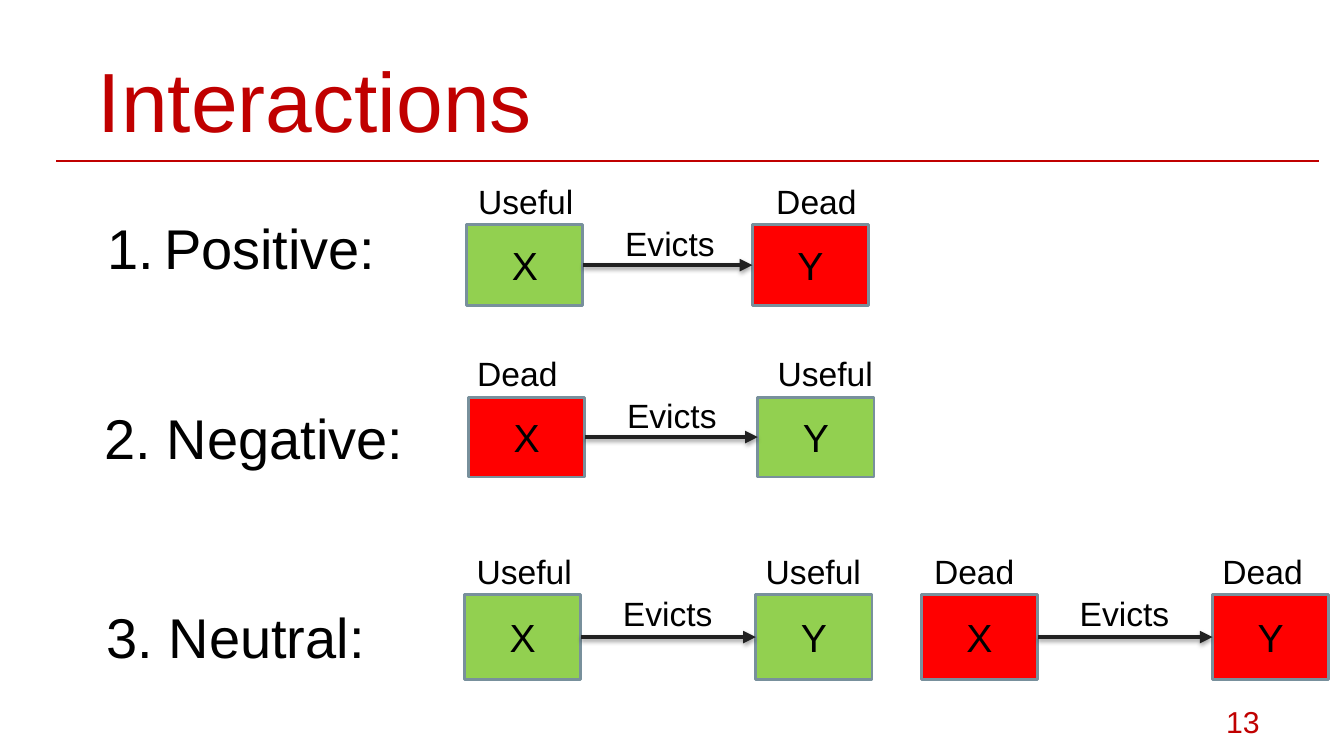
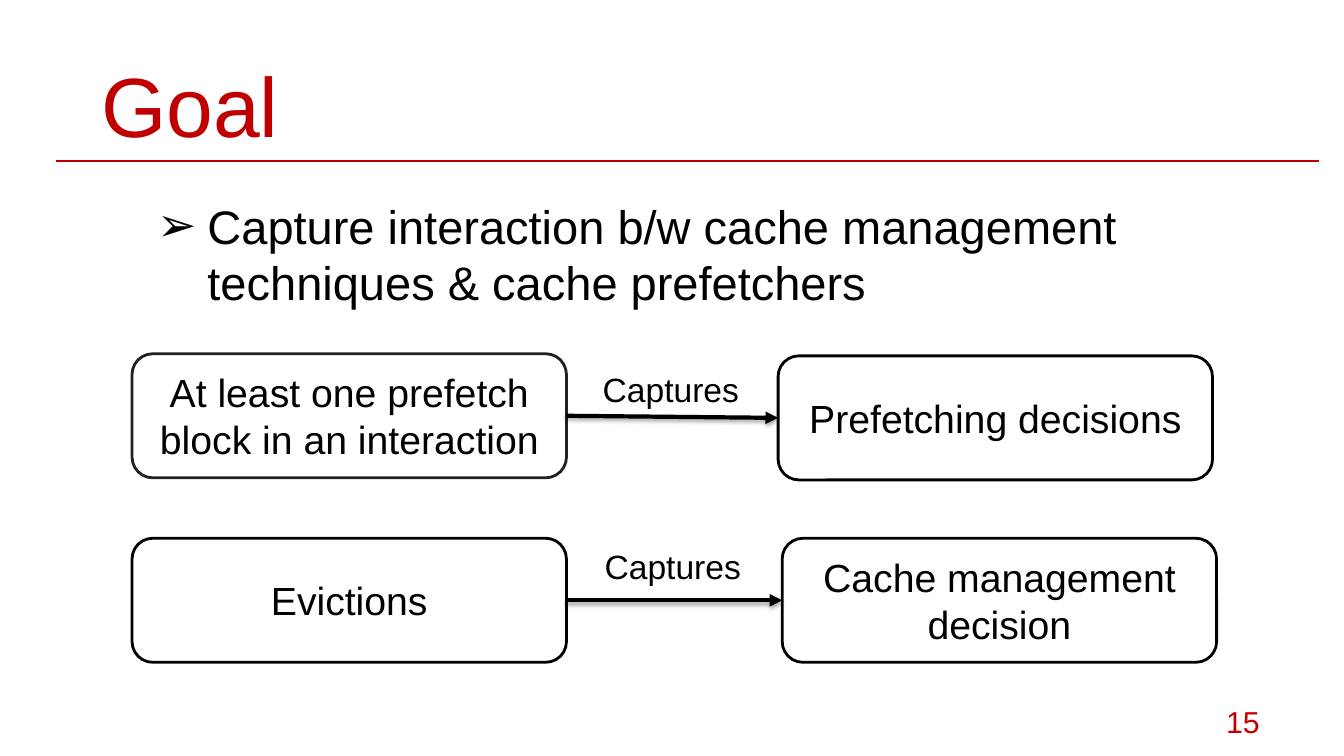
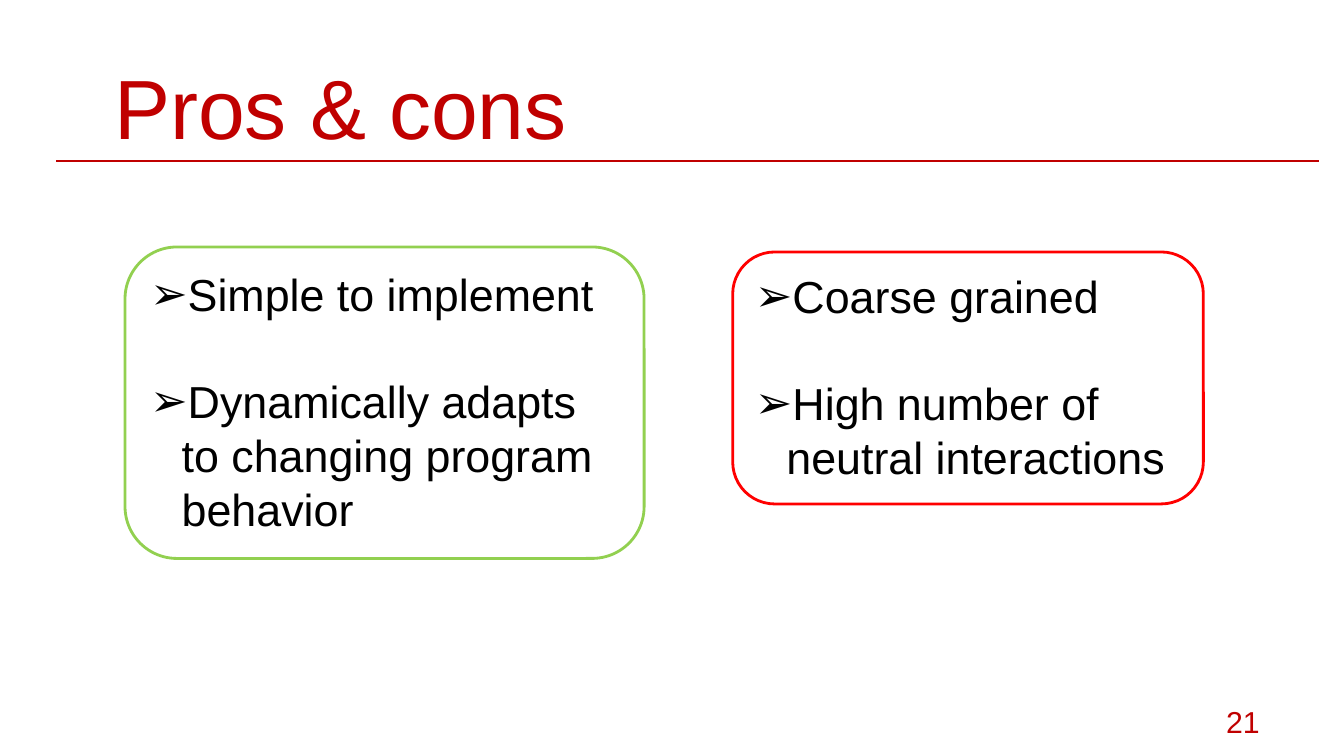
from pptx import Presentation
from pptx.dml.color import RGBColor
from pptx.enum.shapes import MSO_CONNECTOR, MSO_SHAPE
from pptx.enum.text import MSO_ANCHOR, MSO_AUTO_SIZE, PP_ALIGN
from pptx.oxml import parse_xml
from pptx.oxml.ns import nsdecls, qn
from pptx.util import Pt

STRAIGHT = MSO_CONNECTOR.STRAIGHT
RECTANGLE, ROUNDED = MSO_SHAPE.RECTANGLE, MSO_SHAPE.ROUNDED_RECTANGLE
TOP, MIDDLE = MSO_ANCHOR.TOP, MSO_ANCHOR.MIDDLE
LEFT, CENTER, RIGHT = PP_ALIGN.LEFT, PP_ALIGN.CENTER, PP_ALIGN.RIGHT
NO_FIT = MSO_AUTO_SIZE.NONE

FONT = "Arial"
COLORS = {
    "accent": "C00000", "text": "000000", "paper": "FFFFFF", "ink": "212121",
    "edge": "78909C", "useful": "92D050", "dead": "FF0000",
}
STATES = {"Useful": "useful", "Dead": "dead"}
PADDING = {side: Pt(8.78) for side in
           ("margin_left", "margin_top", "margin_right", "margin_bottom")}
CHEVRON = '<a:buChar {} char="➢"/>'
NUMBER = '<a:buAutoNum {} type="arabicPeriod"/>'
BLOCK_WIDTH = 83


def color(name):
    return RGBColor.from_string(COLORS[name])


def set_values(target, values):
    for name, value in values.items():
        setattr(target, name, value)


def points(*lengths):
    return [Pt(length) for length in lengths]


# Text
def add_bullet(para, bullet, indent):
    properties = para._p.get_or_add_pPr()
    properties.set("marL", str(Pt(indent)))
    properties.set("indent", str(-Pt(indent)))
    properties.append(parse_xml(
        f'<a:buClr {nsdecls("a")}><a:srgbClr val="{COLORS["text"]}"/></a:buClr>'))
    properties.append(parse_xml(
        f'<a:buFont {nsdecls("a")} typeface="{FONT}"/>'))
    properties.append(parse_xml(bullet.format(nsdecls("a"))))


def write(shape, lines, size, tint="text", align=LEFT, bullet=None, indent=0,
          gap=0, **frame_values):
    frame = shape.text_frame
    set_values(frame, {"word_wrap": True, "auto_size": NO_FIT,
                       "vertical_anchor": TOP, **frame_values})
    for index, line in enumerate(lines):
        para = frame.add_paragraph() if index else frame.paragraphs[0]
        para.alignment = align
        if index:
            para.space_before = Pt(gap)
        if bullet:
            add_bullet(para, bullet, indent)
        span = para.add_run()
        span.text = line
        set_values(span.font, {"name": FONT, "size": Pt(size), "bold": False})
        span.font.color.rgb = color(tint)


def add_label(shapes, box, text, size, **values):
    write(shapes.add_textbox(*points(*box)), [text], size, **values)


# Shapes and lines
def add_block(shapes, kind, box, fill, edge, lines, size, **values):
    block = shapes.add_shape(kind, *points(*box))
    block.shadow.inherit = False
    block.fill.solid()
    block.fill.fore_color.rgb = color(fill)
    block.line.color.rgb = color(edge)
    block.line.width = Pt(2)
    write(block, lines, size, **values)
    return block


def add_line(shapes, ends, tint, width, effect=""):
    line = shapes.add_connector(STRAIGHT, *points(*ends))
    line.line.color.rgb = color(tint)
    line.line.width = Pt(width)
    line.element.spPr.append(parse_xml(
        f'<a:effectLst {nsdecls("a")}>{effect}</a:effectLst>'))
    return line


def add_arrow(shapes, start, end, tint):
    shadow = (f'<a:outerShdw blurRad="{Pt(3.1)}" dist="{Pt(1.8)}" dir="5400000" '
              'rotWithShape="0"><a:srgbClr val="000000"><a:alpha val="35000"/>'
              '</a:srgbClr></a:outerShdw>')
    arrow = add_line(shapes, (0, 0, 0, 0), tint, 3, shadow)
    arrow.begin_connect(start, 3)
    arrow.end_connect(end, 1)
    arrow.element.spPr.find(qn("a:ln")).append(parse_xml(
        f'<a:tailEnd {nsdecls("a")} type="triangle"/>'))


# Shared page: title, rule and page number
def add_page(deck, title, left, top, number):
    page = deck.slides.add_slide(deck.slide_layouts[5])
    heading = page.shapes.title
    set_values(heading, dict(zip(("left", "top", "width", "height"),
                                 points(left, top, 805, 60.5))))
    write(heading, [title], 60, tint="accent", **PADDING)
    add_line(page.shapes, (40.3, 115.2, 942.5, 115.2), "accent", 1.5)
    add_label(page.shapes, (847.4, 494.6, 61.2, 41), number, 21.6, tint="accent",
              align=RIGHT, vertical_anchor=MIDDLE, **PADDING)
    return page


# One block evicting another, each under its state
def add_eviction(page, box, states, label_shifts):
    left, top, width, height = box
    shapes = page.shapes.add_group_shape().shapes
    blocks = []
    for name, state, shift, offset in zip(
            "XY", states, label_shifts, (0, width - BLOCK_WIDTH)):
        blocks.append(add_block(
            shapes, RECTANGLE, (left + offset, top, BLOCK_WIDTH, height),
            STATES[state], "edge", [name], 28, align=CENTER,
            vertical_anchor=MIDDLE))
        add_label(shapes, (left + offset + shift, top - 35, 88, 36), state, 24)
    add_arrow(shapes, *blocks, "ink")
    add_label(shapes, (left + 106, top - 5, 85, 36), "Evicts", 24)


def build_interactions(deck):
    page = add_page(deck, "Interactions", 61.2, 25.9, "13")
    headings = (
        ("Positive:", 69.8, 149, {"bullet": NUMBER, "indent": 40.3}),
        ("2. Negative:", 67.7, 284.4, {}),
        ("3. Neutral:", 69.1, 427, {}),
    )
    for text, left, top, values in headings:
        add_label(page.shapes, (left, top, 240.5, 55.4), text, 40, **values)
    evictions = (
        ((333.4, 160.6, 287, 57.6), ("Useful", "Dead"), (1, 10)),
        ((334.8, 283.7, 289.5, 57), ("Dead", "Useful"), (-1, 7)),
        ((331.9, 424.8, 291, 60.5), ("Useful", "Useful"), (1.5, 0)),
        ((658.1, 424.8, 291, 60.5), ("Dead", "Dead"), (2, 0)),
    )
    for box, states, label_shifts in evictions:
        add_eviction(page, box, states, label_shifts)


# Two rounded boxes joined by a labelled arrow
def add_capture(page, sources, label_spot):
    boxes = [add_block(page.shapes, ROUNDED, (left, top, 310.3, 88.6), "paper",
                       edge, [text], 28, align=CENTER, vertical_anchor=MIDDLE)
             for text, left, top, edge in sources]
    add_arrow(page.shapes, *boxes, "text")
    add_label(page.shapes, (*label_spot, 113, 36), "Captures", 24,
              word_wrap=False)


def build_goal(deck):
    page = add_page(deck, "Goal", 63.4, 29.5, "15")
    add_label(page.shapes, (105.1, 137.5, 738.7, 88.6),
              "Capture interaction b/w cache management techniques & cache prefetchers",
              33.6, bullet=CHEVRON, indent=36)
    add_capture(page, (
        ("At least one prefetch block in an interaction", 94.3, 252.7, "ink"),
        ("Prefetching decisions", 555.8, 254.2, "text")), (423.4, 259.9))
    add_capture(page, (
        ("Evictions", 94.3, 384.5, "text"),
        ("Cache management decision", 558.7, 384.5, "text")), (424.8, 386.6))


# Rounded bullet panels
def build_pros_and_cons(deck):
    page = add_page(deck, "Pros & cons", 72.7, 31, "21")
    panels = (
        ((89.3, 176.4, 370.8, 222.5), "useful",
         ("Simple to implement",
          "Dynamically adapts to changing program behavior")),
        ((523.4, 180, 336.2, 180), "dead",
         ("Coarse grained", "High number of neutral interactions")),
    )
    for box, edge, lines in panels:
        add_block(page.shapes, ROUNDED, box, "paper", edge, lines, 32,
                  bullet=CHEVRON, indent=22.5, gap=38)


def main():
    deck = Presentation()
    deck.slide_width, deck.slide_height = points(960, 540)
    build_interactions(deck)
    build_goal(deck)
    build_pros_and_cons(deck)
    deck.save("out.pptx")


if __name__ == "__main__":
    main()
